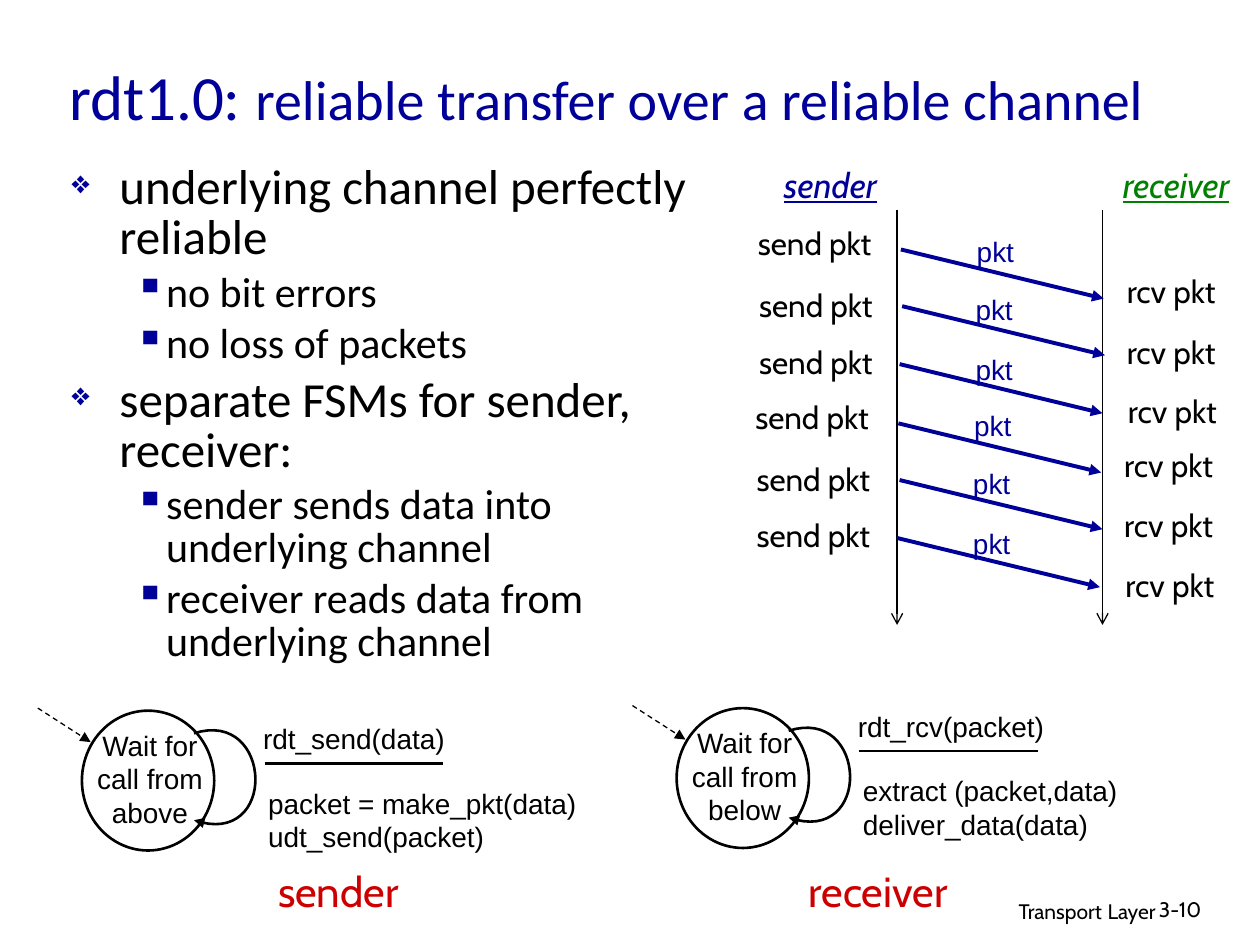
"""Build the rdt1.0 slide: bullets, packet timeline and two state machines."""
import pptx
import pptx.dml.color
import pptx.enum.dml
import pptx.enum.shapes
import pptx.enum.text
import pptx.util
from lxml import etree
from pptx.oxml.ns import qn

Inches, Pt = pptx.util.Inches, pptx.util.Pt
ALIGN = pptx.enum.text.PP_ALIGN
BLUE, BLACK, RED, GREEN = "000099", "000000", "CC0000", "008000"

TITLE = [("rdt1.0: ", 36), ("reliable transfer over a reliable channel", 32)]
POINTS = [
    (0, "underlying channel perfectly reliable"),
    (1, "no bit errors"),
    (1, "no loss of packets"),
    (0, "separate FSMs for sender, receiver:"),
    (1, "sender sends data into underlying channel"),
    (1, "receiver reads data from underlying channel"),
]
LEVELS = [
    dict(mark="❖", scale=65, left=0.38, hang=0.38, size=28),
    dict(mark="▪", scale=100, left=0.75, hang=0.25, size=24),
]
MACHINES = [
    dict(x=0.65, y=5.64, lift=0, state="Wait for call from above",
         event="rdt_send(data)",
         steps=["packet = make_pkt(data)", "udt_send(packet)"],
         name="sender", box=(2.09, 6.82, 1.19, 0.5)),
    dict(x=5.37, y=5.62, lift=0.08, state="Wait for call from below",
         event="rdt_rcv(packet)",
         steps=["extract (packet,data)", "deliver_data(data)"],
         name="receiver", box=(6.29, 6.82, 1.36, 0.5)),
]
HEADS = [("sender", (6.08, 1.25, 1.02, 0.43), BLUE),
         ("receiver", (8.75, 1.25, 1.17, 0.43), GREEN)]
AXES = [7.12, 8.75]
PACKETS = [
    dict(send=(5.89, 1.73), rcv=(8.82, 2.11), start=(7.15, 1.98), tag=(7.65, 1.81)),
    dict(send=(5.9, 2.22), rcv=(8.82, 2.59), start=(7.16, 2.43), tag=(7.64, 2.27)),
    dict(send=(5.9, 2.67), rcv=(8.83, 3.06), start=(7.14, 2.89), tag=(7.64, 2.75)),
]
ROUNDS = [(0, 0), (-0.02, 1.38)]
LABELS = [("send", "send pkt", 1.15, 0.4, 18, "Cabin", BLACK),
          ("rcv", "rcv pkt", 0.95, 0.4, 18, "Cabin", BLACK),
          ("tag", "pkt", 0.5, 0.37, 16, "Arial", BLUE)]

deck = pptx.Presentation()
deck.slide_width, deck.slide_height = Inches(10), Inches(7.5)
slide = deck.slides.add_slide(deck.slide_layouts[6])
shapes = slide.shapes


def color(code):
    return pptx.dml.color.RGBColor.from_string(code)


def add_run(para, text, size, face, code, fancy=False):
    run = para.add_run()
    run.text = text
    font = run.font
    font.size, font.name = Pt(size), face
    font.color.rgb = color(code)
    if fancy:
        font.italic = font.underline = True


def add_box(box, wrap=True):
    frame = shapes.add_textbox(*map(Inches, box)).text_frame
    frame.word_wrap = wrap
    return frame


def add_label(box, lines, size, face, code, align=ALIGN.CENTER, wrap=False, fancy=False):
    frame = add_box(box, wrap)
    for i, text in enumerate(lines):
        para = frame.add_paragraph() if i else frame.paragraphs[0]
        para.alignment = align
        add_run(para, text, size, face, code, fancy)


def style_line(shape, code, width, tail=None, dash=False):
    shape.line.color.rgb = color(code)
    shape.line.width = Pt(width)
    if dash:
        shape.line.dash_style = pptx.enum.dml.MSO_LINE.DASH
    if tail:
        etree.SubElement(shape.line._get_or_add_ln(), qn("a:tailEnd"), type=tail)


def add_line(start, end, code, width, tail=None, dash=False):
    kind = pptx.enum.shapes.MSO_CONNECTOR.STRAIGHT
    line = shapes.add_connector(kind, *map(Inches, (*start, *end)))
    style_line(line, code, width, tail, dash)
    etree.SubElement(line._element.spPr, qn("a:effectLst"))


def add_loop(x, y):
    knots = [(0.89, 0.18), (1.52, -0.02), (1.56, 1.1), (0.89, 0.87)]
    dots = []
    for i in range(33):
        t = i / 32
        parts = ((1 - t) ** 3, 3 * t * (1 - t) ** 2, 3 * t * t * (1 - t), t ** 3)
        dots.append((Inches(x + sum(p * k[0] for p, k in zip(parts, knots))),
                     Inches(y + sum(p * k[1] for p, k in zip(parts, knots)))))
    path = shapes.build_freeform(*dots[0])
    path.add_line_segments(dots[1:], close=False)
    loop = path.convert_to_shape()
    loop.shadow.inherit = False
    loop.fill.background()
    style_line(loop, BLACK, 1.5, "triangle")


def add_points():
    frame = add_box((0.47, 1.26, 5.4, 4.33))
    for i, (depth, text) in enumerate(POINTS):
        rule = LEVELS[depth]
        para = frame.add_paragraph() if i else frame.paragraphs[0]
        para.level = depth
        para.line_spacing = 0.85
        para.space_before = Pt(0.2 * rule["size"] if i else 0)
        props = para._p.get_or_add_pPr()
        props.set("marL", str(Inches(rule["left"])))
        props.set("indent", str(-Inches(rule["hang"])))
        tint = etree.SubElement(props, qn("a:buClr"))
        etree.SubElement(tint, qn("a:srgbClr"), val=BLUE)
        etree.SubElement(props, qn("a:buSzPct"), val=str(rule["scale"] * 1000))
        etree.SubElement(props, qn("a:buChar"), char=rule["mark"])
        add_run(para, text, rule["size"], "Calibri", BLACK)


def add_machine(x, y, lift, state, event, steps, name, box):
    oval = shapes.add_shape(pptx.enum.shapes.MSO_SHAPE.OVAL,
                            *map(Inches, (x, y, 1.05, 1.11)))
    oval.shadow.inherit = False
    oval.fill.solid()
    oval.fill.fore_color.rgb = color("FFFFFF")
    style_line(oval, BLACK, 1.5)
    add_label((x - 0.06, y + 0.09, 1.2, 1), [state], 16, "Arial", BLACK, wrap=True)
    add_loop(x, y)
    top = y - lift
    add_label((x + 1.34, top + 0.04, 2.47, 0.47), [event], 16, "Arial", BLACK, ALIGN.LEFT, True)
    add_line((x + 1.45, top + 0.42), (x + 2.87, top + 0.42), BLACK, 1.5)
    add_label((x + 1.38, top + 0.55, 2.93, 0.65), steps, 16, "Arial", BLACK, ALIGN.LEFT, True)
    add_line((x - 0.35, y - 0.02), (x + 0.07, y + 0.25), BLACK, 0.75, "triangle", True)
    add_label(box, [name], 24, "Cabin", RED)


def add_flow():
    for text, box, code in HEADS:
        add_label(box, [text], 20, "Cabin", code, fancy=True)
    for x in AXES:
        add_line((x, 1.67), (x, 4.96), BLACK, 0.75, "arrow")
    for dx, dy in ROUNDS:
        for packet in PACKETS:
            x, y = packet["start"]
            x, y = x + dx, y + dy
            add_line((x, y), (x + 1.61, y + 0.39), BLUE, 2.25, "triangle")
            for key, text, wide, high, size, face, code in LABELS:
                left, top = packet[key]
                add_label((left + dx, top + dy, wide, high), [text], size, face, code)


def main():
    foot = add_box((6.1, 7.05, 3.17, 0.31)).paragraphs[0]
    foot.alignment = ALIGN.RIGHT
    for text, size in [("Transport", 12), (" ", 14), ("Layer", 12)]:
        add_run(foot, text, size, "Cabin", BLACK)
    add_label((9.1, 7.07, 0.74, 0.3), ["3-10"], 12, "Cabin", BLACK, ALIGN.LEFT, True)
    head = add_box((0.45, 0.21, 8.75, 1.1))
    head.vertical_anchor = pptx.enum.text.MSO_ANCHOR.MIDDLE
    for text, size in TITLE:
        add_run(head.paragraphs[0], text, size, "Calibri", BLUE)
    add_points()
    for machine in MACHINES:
        add_machine(**machine)
    add_flow()
    deck.save("out.pptx")


if __name__ == "__main__":
    main()
